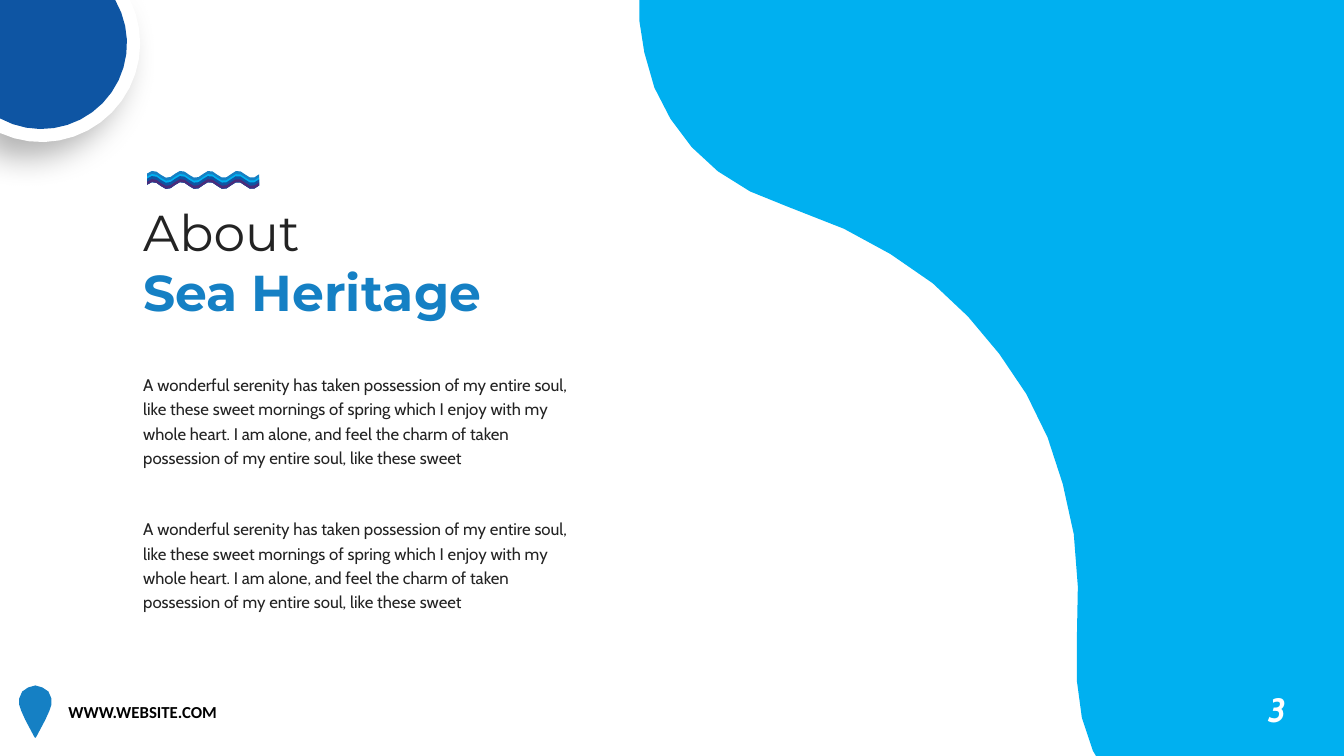
import math
from dataclasses import dataclass

from lxml import etree
from pptx import Presentation
from pptx.dml.color import RGBColor
from pptx.enum.text import MSO_ANCHOR, MSO_AUTO_SIZE, PP_ALIGN
from pptx.oxml.ns import qn
from pptx.util import Inches, Pt

TOP, LEFT = MSO_ANCHOR.TOP, PP_ALIGN.LEFT
FIT_SHAPE = MSO_AUTO_SIZE.SHAPE_TO_FIT_TEXT


@dataclass(frozen=True)
class Theme:
    sky: str = "00B0F0"
    blue: str = "1580C4"
    navy: str = "0E55A3"
    purple: str = "4A2C7B"
    ink: str = "232323"
    black: str = "000000"
    white: str = "FFFFFF"
    heading: str = "Montserrat"
    body: str = "Cabin"
    footer: str = "Calibri"
    title_size: int = 36
    number_size: int = 24
    text_size: int = 12


THEME = Theme()
TITLE = ["About", "Sea Heritage"]
BODY = (
    "A wonderful serenity has taken possession of my entire soul, like these sweet "
    "mornings of spring which I enjoy with my whole heart. I am alone, and feel the "
    "charm of taken possession of my entire soul, like these sweet"
)
BODY_TOPS = [3.63, 5.06]
WEBSITE = "WWW.WEBSITE.COM"
PAGE = "3"

SEA = [
    (13.33, 0), (6.34, 0), (6.34, 0.2), (6.39, 0.52), (6.49, 0.87), (6.65, 1.18),
    (6.86, 1.46), (7.12, 1.7), (7.44, 1.9), (7.81, 2.05), (8.37, 2.27), (8.83, 2.52),
    (9.25, 2.81), (9.6, 3.14), (9.91, 3.51), (10.18, 3.91), (10.39, 4.34),
    (10.54, 4.8), (10.65, 5.3), (10.69, 5.82), (10.68, 6.37), (10.68, 6.75),
    (10.73, 7.12), (10.84, 7.45), (10.87, 7.5), (13.33, 7.5),
]
PIN_CENTER = 0.35
PIN_HALF = [
    (0, 6.8), (0.07, 6.82), (0.13, 6.86), (0.16, 6.93), (0.16, 6.99),
    (0.14, 7.05), (0.1, 7.14), (0.01, 7.31), (0, 7.32),
]
DISC_CENTER, DISC_STEPS = (0.41, 0.43), 16
DISCS = [(0.98, THEME.white), (0.85, THEME.navy)]
WAVE_LEFT, WAVE_RIGHT, WAVE_STEPS = 1.46, 2.57, 24
WAVE_PERIOD, WAVE_HEIGHT, WAVE_NODE = 0.28, 0.035, 1.73
WAVE_BOTTOM = 1.84
WAVES = [(1.73, THEME.blue), (1.76, THEME.sky), (1.78, THEME.navy), (1.81, THEME.purple)]


def color(value):
    return RGBColor.from_string(value)


def write(shape, paragraphs, font, size, fills, bold=(False,), italic=False,
          spacing=1.0, wrap=True):
    tf = shape.text_frame
    tf.word_wrap = wrap
    tf.auto_size = FIT_SHAPE
    tf.vertical_anchor = TOP
    for i, text in enumerate(paragraphs):
        p = tf.paragraphs[0] if i == 0 else tf.add_paragraph()
        pPr = p._p.get_or_add_pPr()
        pPr.set("marL", "0")
        pPr.set("indent", "0")
        etree.SubElement(pPr, qn("a:buNone"))
        p.alignment = LEFT
        p.line_spacing = spacing
        p.space_before = Pt(0)
        r = p.add_run()
        r.text = text
        r.font.name = font
        r.font.size = Pt(size)
        r.font.bold = bold[i]
        r.font.italic = italic
        r.font.color.rgb = color(fills[i])


def place(shape, left, top, width, height):
    shape.left, shape.top = Inches(left), Inches(top)
    shape.width, shape.height = Inches(width), Inches(height)


def outline(shapes, points, fill):
    points = [(Inches(x), Inches(y)) for x, y in points]
    builder = shapes.build_freeform(*points[0])
    builder.add_line_segments(points[1:], close=True)
    sp = builder.convert_to_shape()
    sp.shadow.inherit = False
    sp.fill.solid()
    sp.fill.fore_color.rgb = color(fill)
    sp.line.fill.background()
    return sp


def cast_shadow(sp):
    effects = sp._element.spPr.find(qn("a:effectLst"))
    shadow = etree.SubElement(
        effects, qn("a:outerShdw"), blurRad=str(Pt(23)), dist=str(Pt(15)),
        dir=str(135 * 60000), algn="tr", rotWithShape="0")
    clr = etree.SubElement(shadow, qn("a:srgbClr"), val=THEME.black)
    etree.SubElement(clr, qn("a:alpha"), val="29000")


def corner_disc(radius):
    cx, cy = DISC_CENTER
    start, end = math.asin(-cy / radius), math.acos(-cx / radius)
    angles = [start + (end - start) * i / DISC_STEPS for i in range(DISC_STEPS + 1)]
    return [(0, 0)] + [(cx + radius * math.cos(a), cy + radius * math.sin(a))
                       for a in angles]


def wave_edge(middle):
    step = (WAVE_RIGHT - WAVE_LEFT) / WAVE_STEPS
    xs = [WAVE_LEFT + i * step for i in range(WAVE_STEPS + 1)]
    return [(x, middle - WAVE_HEIGHT * math.sin(math.tau * (x - WAVE_NODE) / WAVE_PERIOD))
            for x in xs]


def main():
    prs = Presentation()
    prs.slide_width, prs.slide_height = Inches(13.33), Inches(7.5)
    s = prs.slides.add_slide(prs.slide_layouts[3])
    shapes = s.shapes
    title, *bodies = s.placeholders

    outline(shapes, SEA, THEME.sky)

    pin = [(PIN_CENTER + x, y) for x, y in PIN_HALF]
    pin += [(PIN_CENTER - x, y) for x, y in PIN_HALF[-2:0:-1]]
    outline(shapes, pin, THEME.blue)

    discs = [outline(shapes, corner_disc(radius), fill) for radius, fill in DISCS]
    cast_shadow(discs[0])

    waves = shapes.add_group_shape()
    for middle, fill in WAVES:
        outline(waves.shapes, wave_edge(middle) + wave_edge(WAVE_BOTTOM)[::-1], fill)

    place(title, 1.32, 1.94, 3.77, 1.31)
    write(title, TITLE, THEME.heading, THEME.title_size, [THEME.ink, THEME.blue],
          bold=(False, True))

    for body, top in zip(bodies, BODY_TOPS):
        place(body, 1.32, top, 4.63, 1.05)
        write(body, [BODY], THEME.body, THEME.text_size, [THEME.ink], spacing=1.2)

    number = shapes.add_textbox(Inches(12.48), Inches(6.79), Inches(0.4), Inches(0.5))
    write(number, [PAGE], THEME.body, THEME.number_size, [THEME.white],
          bold=(True,), italic=True, wrap=False)

    website = shapes.add_textbox(Inches(0.58), Inches(6.91), Inches(2.53), Inches(0.3))
    write(website, [WEBSITE], THEME.footer, THEME.text_size, [THEME.black], bold=(True,))

    prs.save("out.pptx")


if __name__ == "__main__":
    main()
